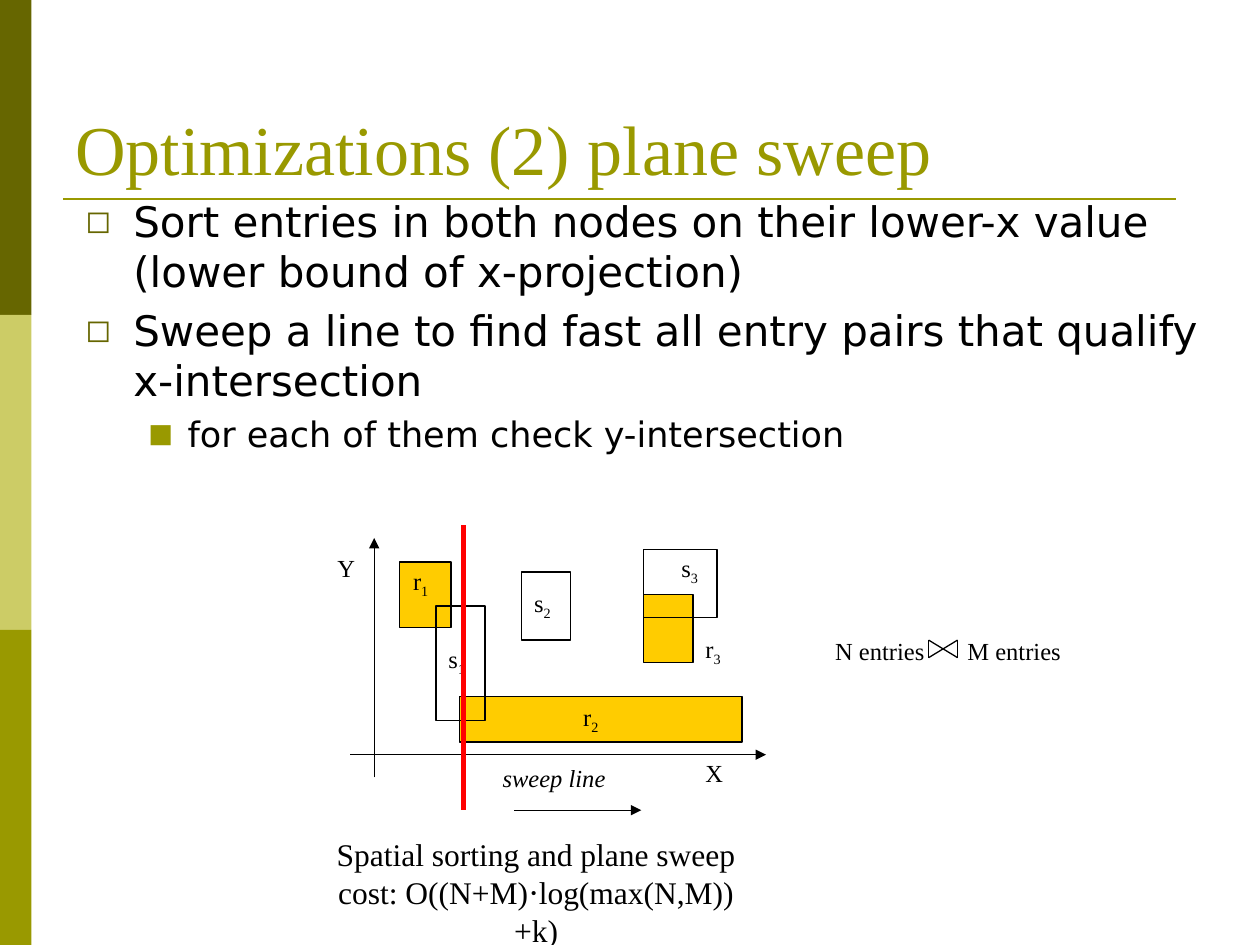
import dataclasses

import pptx
import pptx.dml.color
import pptx.enum.shapes
import pptx.enum.text
import pptx.oxml.xmlchemy
import pptx.util

Inches = pptx.util.Inches
Pt = pptx.util.Pt
Align = pptx.enum.text.PP_ALIGN
Anchor = pptx.enum.text.MSO_ANCHOR


@dataclasses.dataclass(frozen=True)
class Theme:
    dark: str = "666600"
    pale: str = "CCCC66"
    olive: str = "999900"
    gold: str = "FFCC00"
    red: str = "FF0000"
    ink: str = "000000"
    serif: str = "Times New Roman"
    sans: str = "DejaVu Sans"
    title: int = 40
    body: int = 24
    sub: int = 20
    note: int = 18
    label: int = 14
    thin: float = 0.75


THEME = Theme()


def rgb(code):
    return pptx.dml.color.RGBColor.from_string(code)


def add_xml(node, tag, **attrs):
    child = pptx.oxml.xmlchemy.OxmlElement(tag)
    for name, value in attrs.items():
        child.set(name, value)
    node.append(child)
    return child


def add_rect(slide, x, y, w, h, fill=None, edge=None):
    kind = pptx.enum.shapes.MSO_SHAPE.RECTANGLE
    rect = slide.shapes.add_shape(kind, Inches(x), Inches(y), Inches(w), Inches(h))
    rect.shadow.inherit = False
    if fill:
        rect.fill.solid()
        rect.fill.fore_color.rgb = rgb(fill)
    else:
        rect.fill.background()
    if edge:
        rect.line.color.rgb = rgb(edge)
        rect.line.width = Pt(THEME.thin)
    else:
        rect.line.fill.background()


def add_line(slide, x1, y1, x2, y2, color=THEME.ink, width=THEME.thin, arrow=False):
    kind = pptx.enum.shapes.MSO_CONNECTOR.STRAIGHT
    line = slide.shapes.add_connector(
        kind, Inches(x1), Inches(y1), Inches(x2), Inches(y2))
    line.line.color.rgb = rgb(color)
    line.line.width = Pt(width)
    if arrow:
        add_xml(line._element.spPr.ln, "a:tailEnd", type="triangle")
    add_xml(line._element.spPr, "a:effectLst")


def add_box(slide, x, y, w, h, wrap=True, anchor=Anchor.TOP):
    box = slide.shapes.add_textbox(Inches(x), Inches(y), Inches(w), Inches(h))
    frame = box.text_frame
    frame.word_wrap = wrap
    frame.vertical_anchor = anchor
    return frame


def add_run(para, text, size, face=THEME.serif, color=THEME.ink):
    run = para.add_run()
    run.text = text
    run.font.size = Pt(size)
    run.font.name = face
    run.font.color.rgb = rgb(color)
    return run


def add_label(slide, x, y, w, text, index="", italic=False):
    """Add a one-line label, with an optional subscript."""
    para = add_box(slide, x, y, w, 0.33, wrap=False).paragraphs[0]
    add_run(para, text, THEME.label).font.italic = italic
    if index:
        low = add_run(para, index, THEME.label)
        low._r.get_or_add_rPr().set("baseline", "-25000")


def add_bullet(para, mark, color, left, hang):
    props = para._p.get_or_add_pPr()
    props.set("marL", str(Inches(left)))
    props.set("indent", str(-Inches(hang)))
    tint = add_xml(props, "a:buClr")
    add_xml(tint, "a:srgbClr", val=color)
    add_xml(props, "a:buSzPct", val="75000")
    add_xml(props, "a:buFont", typeface=THEME.sans)
    add_xml(props, "a:buChar", char=mark)


def add_frame(slide):
    """Draw the side band, the title and its rule."""
    for row, color in enumerate((THEME.dark, THEME.pale, THEME.olive)):
        add_rect(slide, 0, row * 2.5, 0.25, 2.5, color)
    add_line(slide, 0.5, 1.58, 9.33, 1.58, THEME.olive, 1.5)
    title = add_box(slide, 0.5, 0.3, 9, 1.25, anchor=Anchor.BOTTOM)
    add_run(title.paragraphs[0], "Optimizations (2) plane sweep",
            THEME.title, color=THEME.olive)


def add_body(slide):
    frame = add_box(slide, 0.58, 1.5, 9.08, 5.83)
    items = (
        (0, "Sort entries in both nodes on their lower-x value "
            "(lower bound of x-projection)"),
        (0, "Sweep a line to find fast all entry pairs that qualify "
            "x-intersection"),
        (1, "for each of them check y-intersection"),
    )
    looks = (
        ("◻", THEME.dark, 0.38, 0.38, THEME.body),
        ("■", THEME.olive, 0.81, 0.31, THEME.sub),
    )
    for i, (level, text) in enumerate(items):
        *mark, size = looks[level]
        para = frame.add_paragraph() if i else frame.paragraphs[0]
        add_bullet(para, *mark)
        para.level = level
        if i:
            para.space_before = Pt(size * 0.2)
        add_run(para, text, size, THEME.sans)


def add_cost(slide):
    frame = add_box(slide, 2.42, 6.58, 3.67, 0.7)
    lines = ("Spatial sorting and plane sweep", "cost: O((N+M)⋅log(max(N,M))+k)")
    for i, text in enumerate(lines):
        para = frame.add_paragraph() if i else frame.paragraphs[0]
        para.alignment = Align.CENTER
        add_run(para, text, THEME.note)


def add_plot(slide):
    """Draw the axes, the r and s boxes and the sweep line."""
    add_line(slide, 2.78, 5.99, 6.08, 5.99, arrow=True)
    add_line(slide, 2.97, 6.17, 2.97, 4.27, arrow=True)
    for x, y, w, h, fill in (
        (3.17, 4.46, 0.41, 0.52, THEME.gold),
        (3.65, 5.53, 2.24, 0.36, THEME.gold),
        (4.14, 4.54, 0.39, 0.54, None),
        (5.11, 4.72, 0.39, 0.54, THEME.gold),
        (5.11, 4.36, 0.58, 0.54, None),
        (3.46, 4.81, 0.39, 0.91, None),
    ):
        add_rect(slide, x, y, w, h, fill, THEME.ink)
    for x, y, text, index in (
        (3.18, 4.44, "r", "1"), (3.46, 5.06, "s", "1"),
        (4.53, 5.52, "r", "2"), (4.14, 4.62, "s", "2"),
        (5.5, 4.98, "r", "3"), (5.31, 4.34, "s", "3"),
        (2.58, 4.34, "Y", ""), (5.5, 5.97, "X", ""),
    ):
        add_label(slide, x, y, 0.34, text, index)
    add_label(slide, 3.89, 6.01, 1.02, "sweep line", italic=True)
    add_line(slide, 4.08, 6.43, 5.09, 6.43, arrow=True)
    add_line(slide, 3.68, 4.17, 3.68, 6.43, THEME.red, 3)


def add_join(slide):
    """Draw the bow-tie join sign between its two operands."""
    add_label(slide, 6.53, 5, 0.91, "N entries")
    left, right, top, base = 7.37, 7.6, 5.08, 5.22
    for start, end in ((left, right), (right, left), (right, right), (left, left)):
        add_line(slide, start, top, end, base)
    add_label(slide, 7.58, 5, 0.94, "M entries")


def main():
    deck = pptx.Presentation()
    deck.slide_width, deck.slide_height = Inches(10), Inches(7.5)
    slide = deck.slides.add_slide(deck.slide_layouts[6])
    add_frame(slide)
    add_body(slide)
    add_cost(slide)
    add_plot(slide)
    add_join(slide)
    deck.save("out.pptx")


if __name__ == "__main__":
    main()
